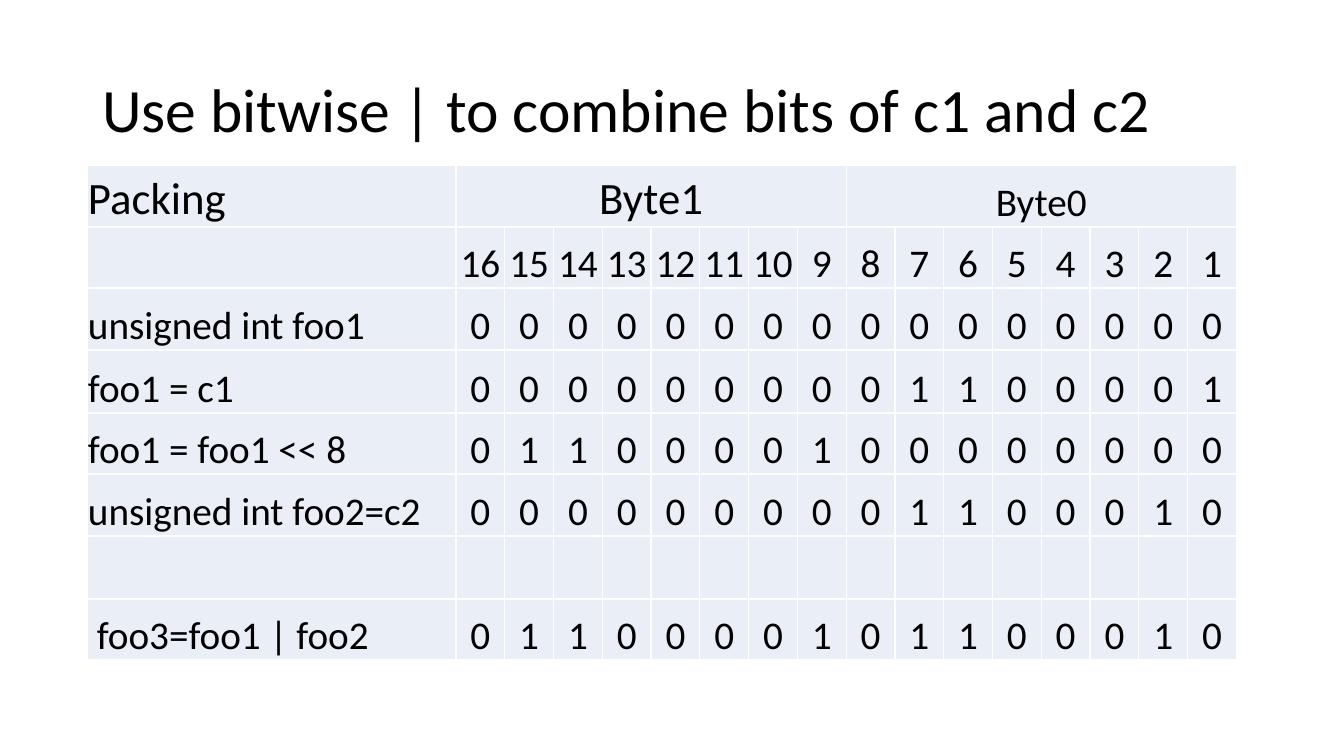
import pptx
import pptx.dml.color
import pptx.enum.text
import pptx.oxml
import pptx.oxml.ns
import pptx.util

EMU_PER_PIXEL = 914400 / 100.8
ALIGN = pptx.enum.text.PP_ALIGN
ANCHOR = pptx.enum.text.MSO_ANCHOR
BIT_COUNT = 16
BYTE_BITS = 8


def emu(pixels):
    """Turn pixels into EMU."""
    return pptx.util.Emu(round(pixels * EMU_PER_PIXEL))


def color(value):
    """Turn a hex string into a colour."""
    return pptx.dml.color.RGBColor.from_string(value)


def write_text(text_frame, text, *, font, size, hex_color, align=ALIGN.LEFT, line_spacing=None):
    """Write one formatted paragraph into a text frame."""
    paragraph = text_frame.paragraphs[0]
    paragraph.alignment = align
    paragraph.line_spacing = line_spacing
    run = paragraph.add_run()
    run.text = text
    run.font.name = font
    run.font.size = pptx.util.Pt(size)
    run.font.color.rgb = color(hex_color)


def set_borders(cell, hex_color, points):
    """Draw a solid line on all four sides of a cell."""
    properties = cell._tc.get_or_add_tcPr()
    for index, side in enumerate(("lnL", "lnR", "lnT", "lnB")):
        line = pptx.oxml.parse_xml(
            f'<a:{side} {pptx.oxml.ns.nsdecls("a")} w="{pptx.util.Pt(points)}">'
            f'<a:solidFill><a:srgbClr val="{hex_color}"/></a:solidFill></a:{side}>'
        )
        properties.insert(index, line)


class SlideBuilder:
    """Hold the style and the current slide."""

    font = "Calibri"
    text_color = "000000"
    cell_fill = "EAEFF7"
    border_color = "FFFFFF"
    title_size = 44
    heading_size = 32
    body_size = 28

    def __init__(self, presentation):
        """Add a title-only slide."""
        self.slide = presentation.slides.add_slide(presentation.slide_layouts[5])

    def add_title(self, text, left, top, width, height):
        """Place and fill the title placeholder."""
        title = self.slide.shapes.title
        title.left, title.top = emu(left), emu(top)
        title.width, title.height = emu(width), emu(height)
        title.text_frame.vertical_anchor = ANCHOR.MIDDLE
        write_text(title.text_frame, text, font=self.font, size=self.title_size,
                   hex_color=self.text_color, line_spacing=0.9)

    def add_table(self, left, top, label_width, bits_width, row_heights):
        """Add a styled table with a label column and equal bit columns."""
        table = self.slide.shapes.add_table(
            len(row_heights), BIT_COUNT + 1, emu(left), emu(top),
            emu(label_width + bits_width), emu(sum(row_heights))).table
        table.first_row = table.horz_banding = False
        for column in table.columns:
            column.width = emu(bits_width / BIT_COUNT)
        table.columns[0].width = emu(label_width)
        for row, height in zip(table.rows, row_heights):
            row.height = emu(height)
        for cell in table.iter_cells():
            cell.fill.solid()
            cell.fill.fore_color.rgb = color(self.cell_fill)
            set_borders(cell, self.border_color, 1)
        return table

    def fill_cell(self, cell, text, size=body_size, align=ALIGN.CENTER):
        """Write text at the bottom of a cell with narrow margins."""
        cell.vertical_anchor = ANCHOR.BOTTOM
        cell.margin_left = cell.margin_right = cell.margin_top = emu(1)
        cell.margin_bottom = 0
        write_text(cell.text_frame, text, font=self.font, size=size,
                   hex_color=self.text_color, align=align)

    def add_byte_heading(self, table, first_column, text, size):
        """Merge the heading cells above one byte and label them."""
        cell = table.cell(0, first_column)
        cell.merge(table.cell(0, first_column + BYTE_BITS - 1))
        self.fill_cell(cell, text, size)

    def fill_bits(self, table, row, values):
        """Write one value into each bit column of a row."""
        for column, value in enumerate(values, start=1):
            self.fill_cell(table.cell(row, column), str(value))


presentation = pptx.Presentation()
presentation.slide_width = emu(1344)
presentation.slide_height = emu(756)

builder = SlideBuilder(presentation)
builder.add_title("Use bitwise | to combine bits of c1 and c2", 92, 40, 1159, 146)

packing_table = builder.add_table(87, 165, 369, 781, [62, 61, 62, 63, 61, 62, 63, 61])
builder.fill_cell(packing_table.cell(0, 0), "Packing", builder.heading_size, ALIGN.LEFT)
builder.add_byte_heading(packing_table, 1, "Byte1", builder.heading_size)
builder.add_byte_heading(packing_table, 1 + BYTE_BITS, "Byte0", builder.body_size)
builder.fill_bits(packing_table, 1, range(BIT_COUNT, 0, -1))

c1, c2 = 0b01100001, 0b01100010
packing_steps = {
    2: ("unsigned int foo1", 0),
    3: ("foo1 = c1", c1),
    4: ("foo1 = foo1 << 8", c1 << 8),
    5: ("unsigned int foo2=c2", c2),
    7: (" foo3=foo1 | foo2", c1 << 8 | c2),
}
for row, (label, number) in packing_steps.items():
    builder.fill_cell(packing_table.cell(row, 0), label, align=ALIGN.LEFT)
    builder.fill_bits(packing_table, row, f"{number:0{BIT_COUNT}b}")

presentation.save("out.pptx")
